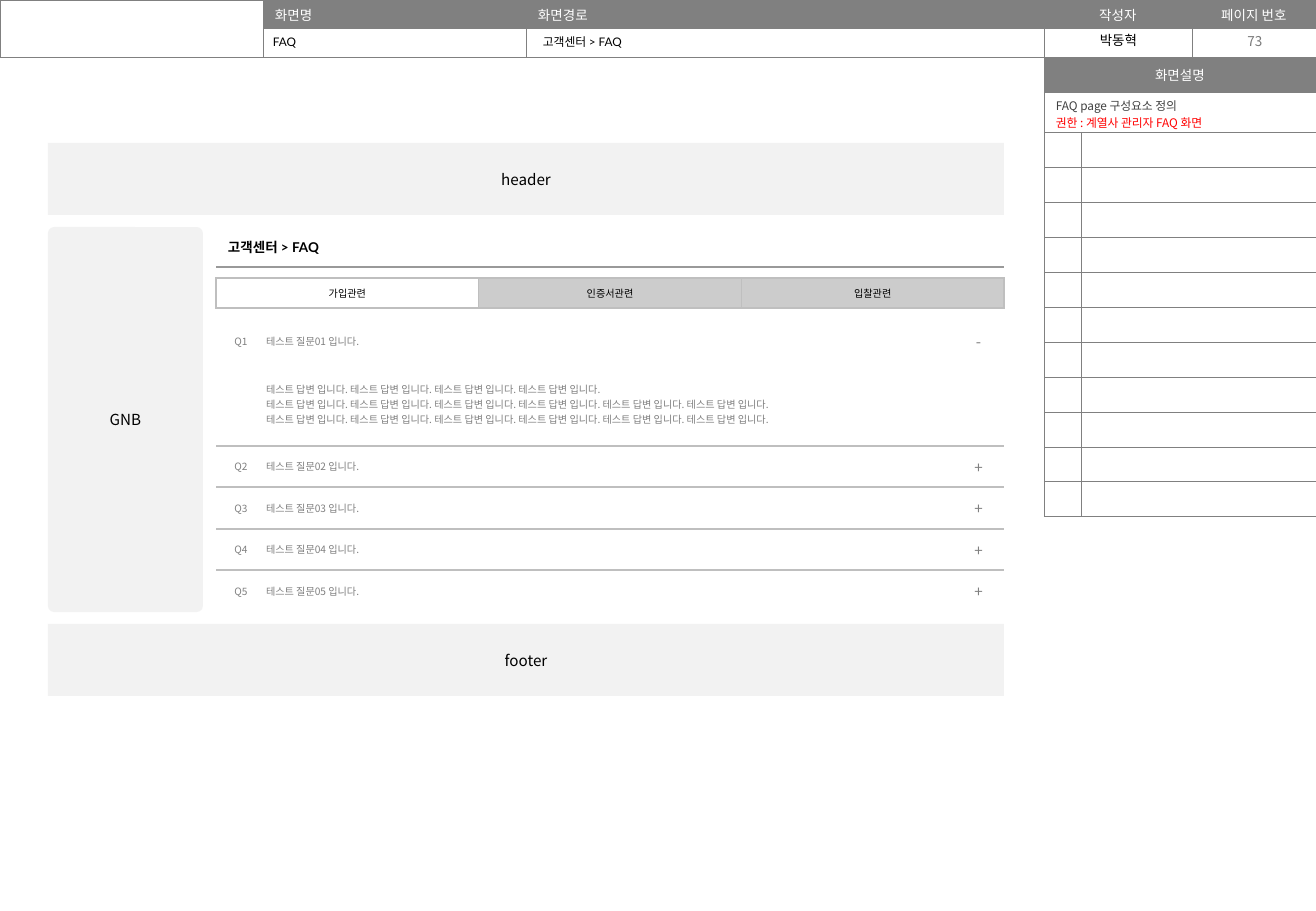
import pptx
import pptx.util
import pptx.dml.color
import pptx.enum.shapes
import pptx.enum.text
import pptx.oxml
import pptx.oxml.ns
from lxml import etree

RGB = pptx.dml.color.RGBColor
BLACK, WHITE = RGB(0, 0, 0), RGB(255, 255, 255)
RED, DARK = RGB(255, 0, 0), RGB(0x40, 0x40, 0x40)
GREY, PAGE = RGB(0x80, 0x80, 0x80), RGB(0x79, 0x79, 0x79)
RULE, LINE = RGB(0x99, 0x99, 0x99), RGB(0xBF, 0xBF, 0xBF)
TAB, PANEL = RGB(0xCC, 0xCC, 0xCC), RGB(0xF2, 0xF2, 0xF2)
NOTO, LATO = "Noto Sans CJK KR", "Lato"
LEFT, MID = pptx.enum.text.PP_ALIGN.LEFT, pptx.enum.text.PP_ALIGN.CENTER
TOP, CENTRE = pptx.enum.text.MSO_ANCHOR.TOP, pptx.enum.text.MSO_ANCHOR.MIDDLE
PLAIN = "{2D5ABB26-0587-4C30-8999-92F81FD0307C}"
SCALE = 914400 / 121.5

HEADS = [("화면명", LEFT), ("화면경로", LEFT), ("작성자", MID), ("페이지 번호", MID)]
CRUMB = "고객센터 > FAQ"
NOTES = [("FAQ page 구성요소 정의", DARK), ("권한 : 계열사 관리자 FAQ 화면", RED)]
PANELS = [  # text, left, top, width, height, corner
    ("header", 48, 143, 956, 72, 0),
    ("GNB", 48, 227, 155, 385, 0.04),
    ("footer", 48, 624, 956, 72, 0),
]
TABS = ["가입관련", "인증서관련", "입찰관련"]
REPLY = "테스트 답변 입니다."
REPLIES = [" ".join([REPLY] * count) for count in (4, 6, 6)]
ASKS = [(f"Q{n}", f"테스트 질문{n:02} 입니다.", "-" if n == 1 else "+")
        for n in range(1, 6)]


def px(count):
    return int(count * SCALE)


def write(frame, text, size=8, color=BLACK, face=NOTO, align=LEFT, bold=False):
    """Fill a frame with one line, or a list of lines or (line, colour) pairs."""
    lines = text if isinstance(text, list) else [text]
    for i, line in enumerate(lines):
        words, tint = line if isinstance(line, tuple) else (line, color)
        para = frame.paragraphs[0] if i == 0 else frame.add_paragraph()
        para.alignment = align
        run = para.add_run()
        run.text = words
        font = run.font
        font.size, font.bold, font.name = pptx.util.Pt(size), bold, face
        font.color.rgb = tint
        east = etree.SubElement(run._r.get_or_add_rPr(), pptx.oxml.ns.qn("a:ea"))
        east.set("typeface", NOTO)


def pad(box, side=12, top=0, base=0):
    box.margin_left = box.margin_right = px(side)
    box.margin_top, box.margin_bottom = px(top), px(base)


def edge(cell, sides, color, width):
    """Draw borders on the sides named by letters out of LRTB."""
    props = cell._tc.get_or_add_tcPr()
    for i, side in enumerate(s for s in "LRTB" if s in sides):
        props.insert(i, pptx.oxml.parse_xml(
            f'<a:ln{side} {pptx.oxml.ns.nsdecls("a")} w="{int(width * 12700)}">'
            f'<a:solidFill><a:srgbClr val="{color}"/></a:solidFill></a:ln{side}>'))


def grid(slide, left, top, cols, rows, sides="", color=GREY, width=0.25):
    """Add an unstyled table whose cells all have the given borders."""
    table = slide.shapes.add_table(len(rows), len(cols), px(left), px(top),
                                   px(sum(cols)), px(sum(rows))).table
    table.first_row = table.horz_banding = False
    table._tbl.tblPr.find(pptx.oxml.ns.qn("a:tableStyleId")).text = PLAIN
    for col, size in zip(table.columns, cols):
        col.width = px(size)
    for row, size in zip(table.rows, rows):
        row.height = px(size)
    for cell in table.iter_cells():
        cell.fill.background()
        pad(cell)
        cell.text_frame.paragraphs[0]._p.get_or_add_endParaRPr().set("sz", "600")
        edge(cell, sides, color, width)
    return table


def put(cell, text, fill=None, **form):
    cell.vertical_anchor = CENTRE
    if fill is not None:
        cell.fill.solid()
        cell.fill.fore_color.rgb = fill
    write(cell.text_frame, text, **form)


def label(slide, text, left, top, width, height, anchor=TOP, **form):
    box = slide.shapes.add_textbox(px(left), px(top), px(width), px(height))
    frame = box.text_frame
    frame.word_wrap, frame.vertical_anchor = True, anchor
    pad(frame, 12, 6, 6)
    write(frame, text, **form)


def top_bar(slide):
    table = grid(slide, 0, 0, [263, 263, 518, 148, 124], [28, 29], "LRTB")
    table.cell(0, 0).merge(table.cell(1, 0))
    for i, (text, align) in enumerate(HEADS, 1):
        cell = table.cell(0, i)
        put(cell, text, GREY, color=WHITE, align=align)
        pad(cell, 12, 2)
    title = slide.shapes.title
    title.left, title.top, title.width, title.height = map(px, (261, 29, 270, 27))
    frame = title.text_frame
    frame.auto_size = pptx.enum.text.MSO_AUTO_SIZE.NONE
    frame.word_wrap, frame.vertical_anchor = True, TOP
    pad(frame, 12, 6, 6)
    write(frame, "FAQ", size=7, face=LATO)
    label(slide, CRUMB, 531, 29, 512, 27, size=7, face=LATO)
    label(slide, "박동혁", 1044, 26, 149, 29, align=MID)
    label(slide, "73", 1194, 27, 122, 29, CENTRE, color=PAGE, align=MID)


def side_notes(slide):
    table = grid(slide, 1044, 57, [37, 235], [35, 40] + [35] * 11, "LRTB")
    for row in range(2):
        table.cell(row, 0).merge(table.cell(row, 1))
    put(table.cell(0, 0), "화면설명", GREY, color=WHITE, align=MID)
    put(table.cell(1, 0), NOTES, size=7)
    pad(table.cell(1, 0), 12, 4)


def panels(slide):
    kind = pptx.enum.shapes.MSO_SHAPE.ROUNDED_RECTANGLE
    for text, left, top, width, height, corner in PANELS:
        box = slide.shapes.add_shape(kind, px(left), px(top), px(width), px(height))
        box.adjustments[0] = corner
        box.shadow.inherit = False
        box.fill.solid()
        box.fill.fore_color.rgb = PANEL
        box.line.fill.background()
        box.text_frame.vertical_anchor = CENTRE
        pad(box.text_frame, 12, 12, 12)
        write(box.text_frame, text, size=9, align=MID)


def faq(slide):
    crumb = grid(slide, 216, 227, [394, 394], [40], "B", RULE, 0.75)
    put(crumb.cell(0, 0), CRUMB, face=LATO, bold=True)

    tabs = grid(slide, 216, 278, [788 / 3] * 3, [30], "LRTB", LINE, 0.75)
    for i, text in enumerate(TABS):
        put(tabs.cell(0, i), text, TAB if i else WHITE, size=6, face=LATO, align=MID)

    table = grid(slide, 216, 320, [50, 687, 51], [42, 84, 41, 42, 41, 42])
    for cell in table.iter_cells():
        pad(cell, 0)
    for i, (mark, text, sign) in enumerate(ASKS):
        row = i + 1 if i else 0
        put(table.cell(row, 0), mark, WHITE, size=6, color=GREY, align=MID)
        put(table.cell(row, 1), text, WHITE, size=6, color=GREY)
        put(table.cell(row, 2), sign, WHITE, size=9, color=GREY, align=MID)
    put(table.cell(1, 1), REPLIES, WHITE, size=6, color=GREY)
    for row in range(1, 6):
        sides = {1: "B", 5: "T"}.get(row, "TB")
        for col in range(3):
            edge(table.cell(row, col), sides, LINE, 0.75)


def main():
    deck = pptx.Presentation()
    deck.slide_width, deck.slide_height = px(1316), px(911)
    slide = deck.slides.add_slide(deck.slide_layouts[5])
    top_bar(slide)
    side_notes(slide)
    panels(slide)
    faq(slide)
    deck.save("out.pptx")


if __name__ == "__main__":
    main()
